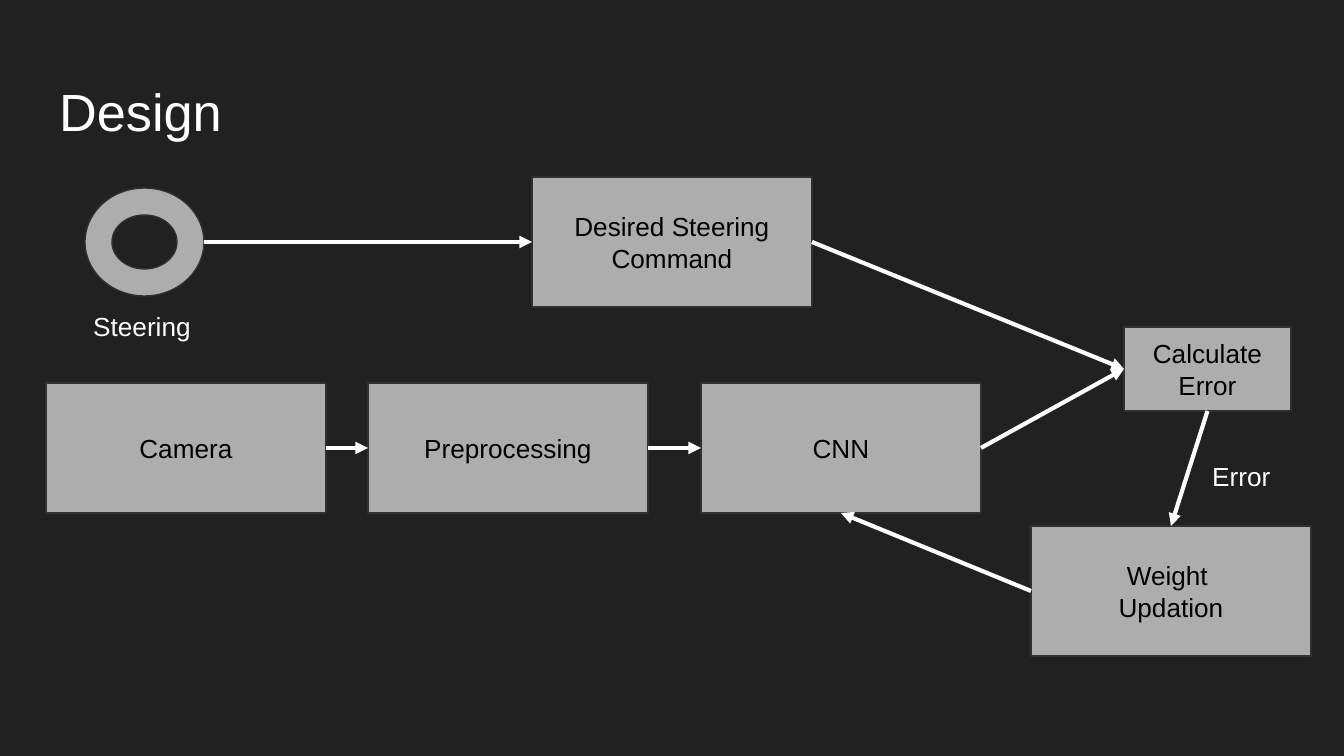
"""Build the steering-network design slide."""
from pptx import Presentation, util as u
from pptx.dml.color import RGBColor
from pptx.enum import shapes, text
from pptx.oxml import parse_xml
from pptx.oxml.ns import nsdecls

PX = 914400 / 134.4
FONT = "Arial"
COLORS = {"back": "212121", "fill": "ADADAD", "line": "303030",
          "dark": "000000", "light": "FFFFFF"}
TOP, LEFT, BOTTOM, RIGHT = range(4)

BIG, SMALL = (280, 130), (167, 84)
ROW_Y = 383
BOXES = {
    "desired": (532, 177, BIG, ["Desired Steering", "Command"]),
    "camera": (46, ROW_Y, BIG, ["Camera"]),
    "preprocessing": (368, ROW_Y, BIG, ["Preprocessing"]),
    "weights": (1031, 526, BIG, ["Weight ", "Updation"]),
    "cnn": (701, ROW_Y, BIG, ["CNN"]),
    "error": (1124, 327, SMALL, ["Calculate", "Error"]),
}
WHEEL = (85, 188, 119, 108)
LABELS = [
    ("Design", 28, (46, 66, 1252, 85)),
    ("Steering", 14, (80, 297, 130, 30)),
    ("Error", 14, (1199, 447, 99, 30)),
]
ARROWS = [
    ("wheel", RIGHT, "desired", LEFT),
    ("desired", RIGHT, "error", LEFT),
    ("error", BOTTOM, "weights", TOP),
    ("weights", LEFT, "cnn", BOTTOM),
    ("camera", RIGHT, "preprocessing", LEFT),
    ("preprocessing", RIGHT, "cnn", LEFT),
    ("cnn", RIGHT, "error", LEFT),
]


def emu(*px):
    return [u.Emu(round(v * PX)) for v in px]


def rgb(name):
    return RGBColor.from_string(COLORS[name])


def write(sp, lines, size, color, align):
    tf = sp.text_frame
    tf.word_wrap = True
    tf.margin_left = tf.margin_right = u.Inches(0.1)
    tf.margin_top = tf.margin_bottom = u.Inches(0.1)
    for i, line in enumerate(lines):
        p = tf.add_paragraph() if i else tf.paragraphs[0]
        p.alignment = align
        r = p.add_run()
        r.text = line
        r.font.size = u.Pt(size)
        r.font.name = FONT
        r.font.color.rgb = rgb(color)
    return tf


def add_block(s, kind, x, y, w, h):
    sp = s.shapes.add_shape(kind, *emu(x, y, w, h))
    sp.shadow.inherit = False
    sp.fill.solid()
    sp.fill.fore_color.rgb = rgb("fill")
    sp.line.color.rgb = rgb("line")
    sp.line.width = u.Pt(0.75)
    return sp


def add_arrow(s, start, start_side, end, end_side):
    x = start.left + start.width
    y = start.top + start.height // 2
    c = s.shapes.add_connector(shapes.MSO_CONNECTOR.STRAIGHT, x, y, x, y)
    if start.auto_shape_type == shapes.MSO_SHAPE.RECTANGLE:
        c.begin_connect(start, start_side)
    c.end_connect(end, end_side)
    c.line.color.rgb = rgb("light")
    c.line.width = u.Pt(2.25)
    c.line._get_or_add_ln().append(
        parse_xml(f'<a:tailEnd {nsdecls("a")} type="triangle"/>'))
    c._element.spPr.append(parse_xml(f'<a:effectLst {nsdecls("a")}/>'))


def main():
    prs = Presentation()
    prs.slide_width, prs.slide_height = emu(1344, 756)
    s = prs.slides.add_slide(prs.slide_layouts[6])
    s.background.fill.solid()
    s.background.fill.fore_color.rgb = rgb("back")

    blocks = {"wheel": add_block(s, shapes.MSO_SHAPE.DONUT, *WHEEL)}
    blocks["wheel"].adjustments[0] = 0.25
    for name, (x, y, size, lines) in BOXES.items():
        sp = add_block(s, shapes.MSO_SHAPE.RECTANGLE, x, y, *size)
        tf = write(sp, lines, 14, "dark", text.PP_ALIGN.CENTER)
        tf.vertical_anchor = text.MSO_ANCHOR.MIDDLE
        blocks[name] = sp

    for start, start_side, end, end_side in ARROWS:
        add_arrow(s, blocks[start], start_side, blocks[end], end_side)

    for label, size, place in LABELS:
        sp = s.shapes.add_textbox(*emu(*place))
        write(sp, [label], size, "light", text.PP_ALIGN.LEFT)

    prs.save("out.pptx")


if __name__ == "__main__":
    main()
